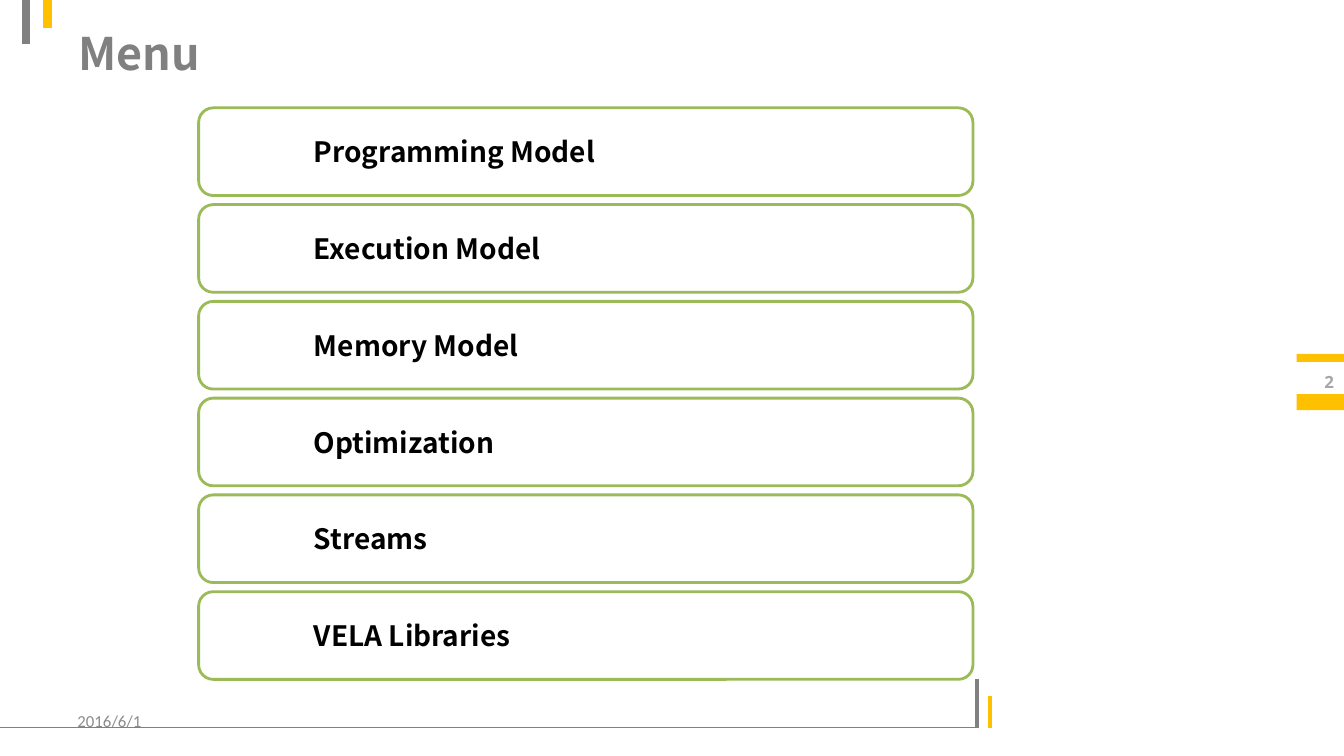
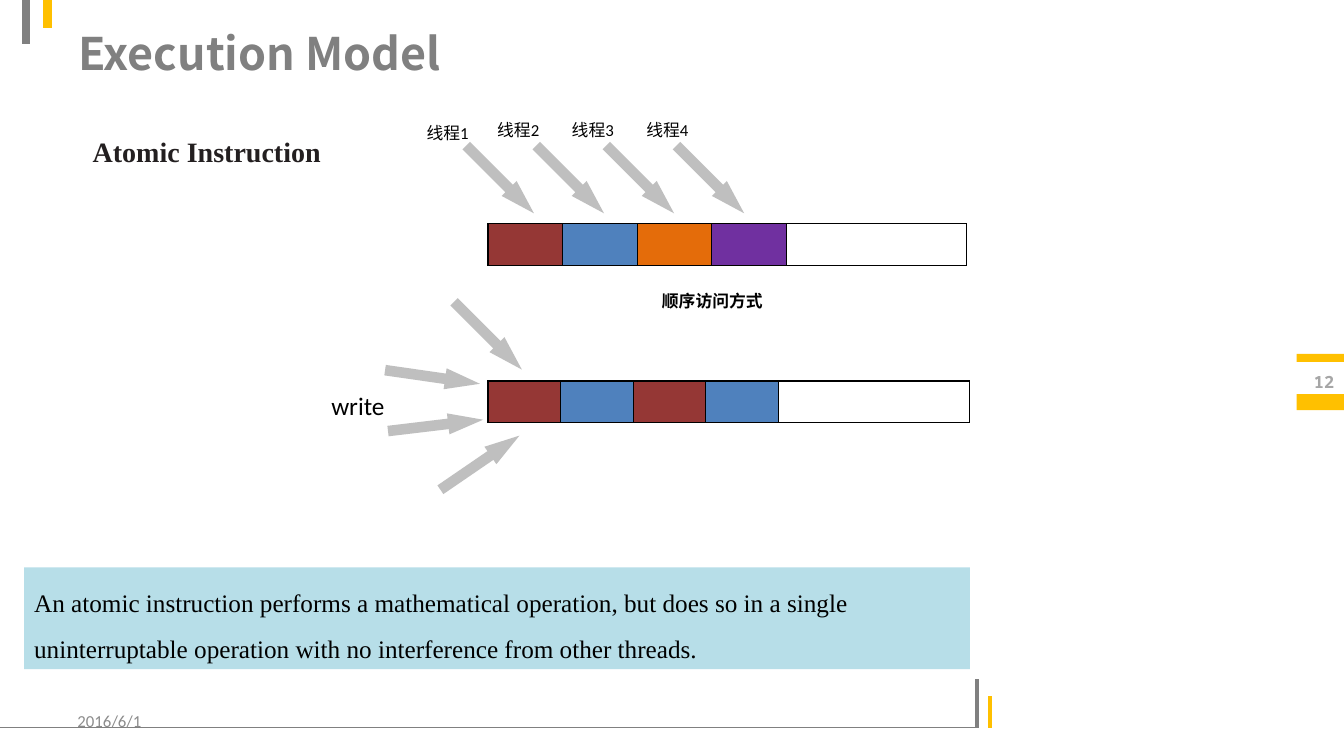
from lxml import etree
from pptx import Presentation
from pptx.dml.color import RGBColor
from pptx.enum import shapes, text
from pptx.oxml import ns
from pptx.util import Inches, Pt

GRAY, AMBER, GREEN = "808080", "FFC000", "9BBB59"
WHITE, BLACK, ARROW_GRAY, PALE_BLUE = "FFFFFF", "000000", "BFBFBF", "B7DEE8"
RED, BLUE, ORANGE, PURPLE = "953735", "4F81BD", "E46C0A", "7030A0"
SANS, SERIF, BODY, MONO = "Noto Sans CJK SC", "Times New Roman", "Calibri", "Noto Sans Mono"
DATE = "2016/6/1"


def color(hex_value):
    return RGBColor.from_string(hex_value)


def write(shape, words, size=12, font=BODY, ink=BLACK, bold=False, align="LEFT",
          anchor="MIDDLE", spacing=None, left_inset=0.1):
    frame = shape.text_frame
    frame.word_wrap = True
    frame.margin_left = Inches(left_inset)
    frame.vertical_anchor = getattr(text.MSO_ANCHOR, anchor)
    paragraph = frame.paragraphs[0]
    paragraph.alignment = getattr(text.PP_ALIGN, align)
    if spacing:
        paragraph.line_spacing = spacing
    run = paragraph.add_run()
    run.text = words
    run.font.size, run.font.bold, run.font.name = Pt(size), bold, font
    run.font.color.rgb = color(ink)
    east_asian = etree.SubElement(run._r.get_or_add_rPr(), ns.qn("a:ea"))
    east_asian.set("typeface", SANS)


def add_text(slide, box, words, **style):
    write(slide.shapes.add_textbox(*map(Inches, box)), words, **style)


def add_block(slide, box, fill, kind="RECTANGLE", outline=None):
    block = slide.shapes.add_shape(getattr(shapes.MSO_SHAPE, kind), *map(Inches, box))
    block.shadow.inherit = False
    block.fill.solid()
    block.fill.fore_color.rgb = color(fill)
    if outline:
        block.line.color.rgb = color(outline)
        block.line.width = Pt(2)
    else:
        block.line.fill.background()
    return block


def add_rule(slide, ends, ink, width):
    rule = slide.shapes.add_connector(shapes.MSO_CONNECTOR.STRAIGHT, *map(Inches, ends))
    rule.line.color.rgb = color(ink)
    rule.line.width = Pt(width)
    etree.SubElement(rule._element.spPr, ns.qn("a:effectLst"))


def add_frame(slide, title, number):
    """Draw the rules, page tab, title, date and page number of every slide."""
    for ends, ink, width in (
        ((0, 7.22, 9.71, 7.22), GRAY, 0.75),
        ((9.69, 7.22, 9.69, 6.74), GRAY, 3),
        ((9.82, 7.22, 9.82, 6.9), AMBER, 3),
        ((0.26, 0, 0.26, 0.44), GRAY, 6),
        ((0.47, 0, 0.47, 0.28), AMBER, 6),
    ):
        add_rule(slide, ends, ink, width)
    for top, height in ((3.91, 0.16), (3.51, 0.08)):
        add_block(slide, (12.86, top, 0.47, height), AMBER)
    add_text(slide, (0.68, 0.13, 11.97, 0.79), title, size=32, font=SANS, ink=GRAY, bold=True)
    add_text(slide, (0.67, 6.95, 3.11, 0.4), DATE, ink="8C8C8C")
    add_text(slide, (12.75, 3.59, 0.58, 0.4), str(number), font=MONO, ink="A6A6A6",
             bold=True, align="RIGHT")


def add_menu(slide, box, topics, gap=0.09):
    left, top, width, height = box
    item_height = (height - gap * (len(topics) - 1)) / len(topics)
    for i, topic in enumerate(topics):
        item_top = top + i * (item_height + gap)
        item = add_block(slide, (left, item_top, width, item_height), WHITE,
                         "ROUNDED_RECTANGLE", GREEN)
        write(item, topic, size=20, font=SANS, bold=True, left_inset=1.1)


def add_cell_border(cell):
    properties = cell._tc.get_or_add_tcPr()
    for i, side in enumerate(("lnL", "lnR", "lnT", "lnB")):
        line = etree.Element(ns.qn(f"a:{side}"), w=str(Pt(1)))
        fill = etree.SubElement(line, ns.qn("a:solidFill"))
        etree.SubElement(fill, ns.qn("a:srgbClr"), val=BLACK)
        properties.insert(i, line)


def add_memory(slide, box, word_width, fills):
    """Draw a row of equal memory words; the last cell takes the remaining width."""
    memory = slide.shapes.add_table(1, len(fills), *map(Inches, box)).table
    memory.first_row = memory.horz_banding = False
    rest = box[2] - word_width * (len(fills) - 1)
    for i, fill in enumerate(fills):
        memory.columns[i].width = Inches(rest if i == len(fills) - 1 else word_width)
        cell = memory.cell(0, i)
        cell.margin_top = cell.margin_bottom = 0
        cell.fill.solid()
        cell.fill.fore_color.rgb = color(fill)
        add_cell_border(cell)


def add_arrow(slide, center_x, center_y, angle):
    width, length = 0.21, 0.95
    arrow = add_block(slide, (center_x - width / 2, center_y - length / 2, width, length),
                      ARROW_GRAY, "DOWN_ARROW")
    arrow.adjustments[0], arrow.adjustments[1] = 0.5, 1.662
    arrow.rotation = angle


def add_sequential_access(slide, left, top):
    """Four threads, each writing to its own memory word."""
    add_memory(slide, (left, top, 4.75, 0.41), 0.74, (RED, BLUE, ORANGE, PURPLE, WHITE))
    labels = ((-0.77, -1.05), (-0.07, -1.08), (0.67, -1.08), (1.41, -1.08))
    for i, (dx, dy) in enumerate(labels):
        add_arrow(slide, left + 0.12 + 0.695 * i, top - 0.44, 315)
        add_text(slide, (left + dx, top + dy, 0.74, 0.29), f"线程{i + 1}", align="CENTER")
    add_text(slide, (left + 1.45, top + 0.62, 1.55, 0.29), "顺序访问方式", font=SANS,
             bold=True, align="CENTER")


def add_write_conflict(slide, left, top):
    """Four writes that meet at the first memory word."""
    add_memory(slide, (left, top, 4.78, 0.41), 0.72, (RED, BLUE, RED, BLUE, WHITE))
    for dx, dy, angle in ((0, -0.45, 315), (-0.55, -0.04, 278.2),
                          (-0.52, 0.44, 263.2), (-0.08, 0.81, 235.6)):
        add_arrow(slide, left + dx, top + dy, angle)
    add_text(slide, (left - 1.66, top + 0.1, 0.74, 0.29), "write", size=18, align="CENTER")


def build_menu_slide(slide):
    add_frame(slide, "Menu", 2)
    add_menu(slide, (1.97, 1.07, 7.68, 5.67), (
        "Programming Model", "Execution Model", "Memory Model",
        "Optimization", "Streams", "VELA Libraries"))


def build_atomic_slide(slide):
    add_frame(slide, "Execution Model", 12)
    add_text(slide, (0.82, 1.29, 3.09, 0.44), "Atomic Instruction", size=20, font=SERIF,
             ink="231F20", bold=True, anchor="TOP")
    definition = add_block(slide, (0.24, 5.63, 9.38, 1.01), PALE_BLUE)
    write(definition, "An atomic instruction performs a mathematical operation, but does so "
          "in a single uninterruptable operation with no interference from other threads.",
          size=18, font=SERIF, anchor="TOP", spacing=1.5)
    add_sequential_access(slide, 4.84, 2.22)
    add_write_conflict(slide, 4.84, 3.78)


def main():
    deck = Presentation()
    deck.slide_width, deck.slide_height = Inches(13.33), Inches(7.5)
    for build in (build_menu_slide, build_atomic_slide):
        build(deck.slides.add_slide(deck.slide_layouts[6]))
    deck.save("out.pptx")


if __name__ == "__main__":
    main()
